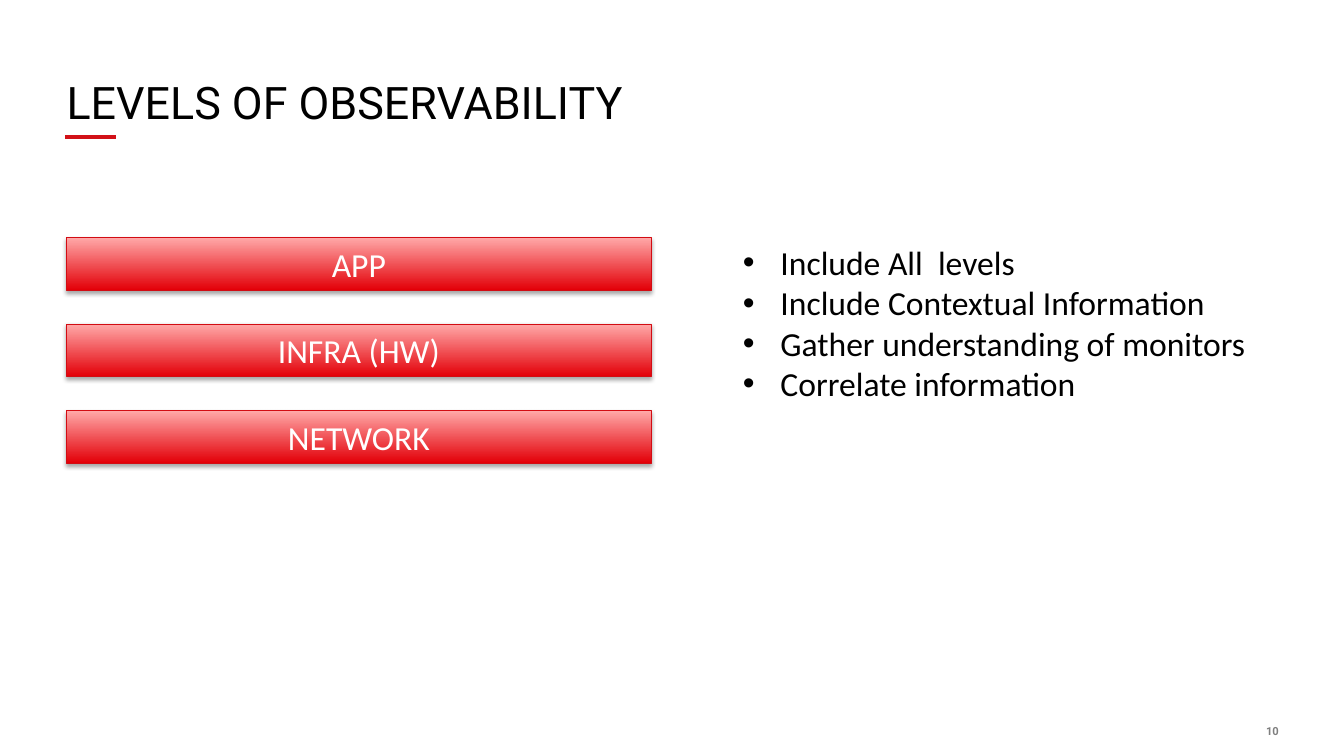
from dataclasses import dataclass

from lxml.etree import SubElement
from pptx import Presentation
from pptx.dml.color import RGBColor
from pptx.enum.shapes import MSO_CONNECTOR, MSO_SHAPE
from pptx.enum.text import MSO_ANCHOR, PP_ALIGN
from pptx.oxml.ns import qn
from pptx.shapes.autoshape import Shape
from pptx.slide import Slide
from pptx.util import Cm, Pt


@dataclass
class Box:
    left: float
    top: float
    width: float
    height: float

    def place(self) -> tuple[Cm, Cm, Cm, Cm]:
        return Cm(self.left), Cm(self.top), Cm(self.width), Cm(self.height)


@dataclass
class Level:
    name: str
    box: Box


TOP, STEP = 5.99, 2.18
LEVELS = [
    Level(name, Box(1.68, TOP + row * STEP, 14.73, 1.32))
    for row, name in enumerate(["APP", "INFRA (HW)", "NETWORK"])
]
POINTS = [
    "Include All  levels",
    "Include Contextual Information",
    "Gather understanding of monitors",
    "Correlate information",
]


def color(code: str) -> RGBColor:
    return RGBColor.from_string(code)


def write(shape: Shape, text: str, *, font: str = "Calibri", size: float = 24,
          ink: str = "000000", bold: bool = False, align: PP_ALIGN = PP_ALIGN.LEFT,
          anchor: MSO_ANCHOR = MSO_ANCHOR.TOP, pad: tuple[float, float] = (0.25, 0.13),
          space: float = 1, bullet: bool = False) -> None:
    frame = shape.text_frame
    frame.word_wrap = True
    frame.vertical_anchor = anchor
    frame.margin_left = frame.margin_right = Cm(pad[0])
    frame.margin_top = frame.margin_bottom = Cm(pad[1])
    frame.text = text
    for para in frame.paragraphs:
        para.alignment = align
        para.line_spacing = space
        if bullet:
            props = para._p.get_or_add_pPr()
            props.set("marL", str(Cm(0.95)))
            props.set("indent", str(-Cm(0.95)))
            SubElement(props, qn("a:buFont"), typeface="Arial")
            SubElement(props, qn("a:buChar"), char="•")
        for run in para.runs:
            run.font.name = font
            run.font.size = Pt(size)
            run.font.bold = bold
            run.font.color.rgb = color(ink)


def shade(shape: Shape) -> None:
    shape.shadow.inherit = False
    effects = shape._element.spPr.find(qn("a:effectLst"))
    outer = SubElement(effects, qn("a:outerShdw"), blurRad=str(Pt(3.1)),
                       dist=str(Pt(1.8)), dir="5400000", rotWithShape="0")
    black = SubElement(outer, qn("a:srgbClr"), val="000000")
    SubElement(black, qn("a:alpha"), val="35000")


def draw_level(slide: Slide, level: Level) -> None:
    bar = slide.shapes.add_shape(MSO_SHAPE.RECTANGLE, *level.box.place())
    bar.fill.gradient()
    bar.fill.gradient_angle = 90
    for stop, code in zip(bar.fill.gradient_stops, ["E30008", "FFA8A8"]):
        stop.color.rgb = color(code)
    bar.line.color.rgb = color("D20C13")
    bar.line.width = Pt(0.75)
    shade(bar)
    write(bar, level.name, ink="FFFFFF", align=PP_ALIGN.CENTER, anchor=MSO_ANCHOR.MIDDLE)


def draw_rule(slide: Slide) -> None:
    rule = slide.shapes.add_connector(
        MSO_CONNECTOR.STRAIGHT, Cm(1.65), Cm(3.46), Cm(2.93), Cm(3.46))
    rule.line.color.rgb = color("D21118")
    rule.line.width = Pt(2.75)
    SubElement(rule._element.spPr, qn("a:effectLst"))


def add_box(slide: Slide, box: Box) -> Shape:
    return slide.shapes.add_textbox(*box.place())


def main() -> None:
    deck = Presentation()
    deck.slide_width, deck.slide_height = Cm(33.87), Cm(19.05)
    slide = deck.slides.add_slide(deck.slide_layouts[6])
    write(add_box(slide, Box(31.09, 18.24, 1.14, 0.36)), "10", font="Roboto", size=8,
          ink="7F7F7F", bold=True, align=PP_ALIGN.RIGHT, pad=(0, 0), space=1.01)
    draw_rule(slide)
    write(add_box(slide, Box(1.68, 1.88, 30.53, 1.5)), "LEVELS OF OBSERVABILITY",
          font="Roboto", size=32, anchor=MSO_ANCHOR.BOTTOM, pad=(0, 0.13), space=0.9)
    for level in LEVELS:
        draw_level(slide, level)
    write(add_box(slide, Box(18.47, 5.97, 14.43, 4.37)), "\n".join(POINTS), bullet=True)
    deck.save("out.pptx")


if __name__ == "__main__":
    main()
